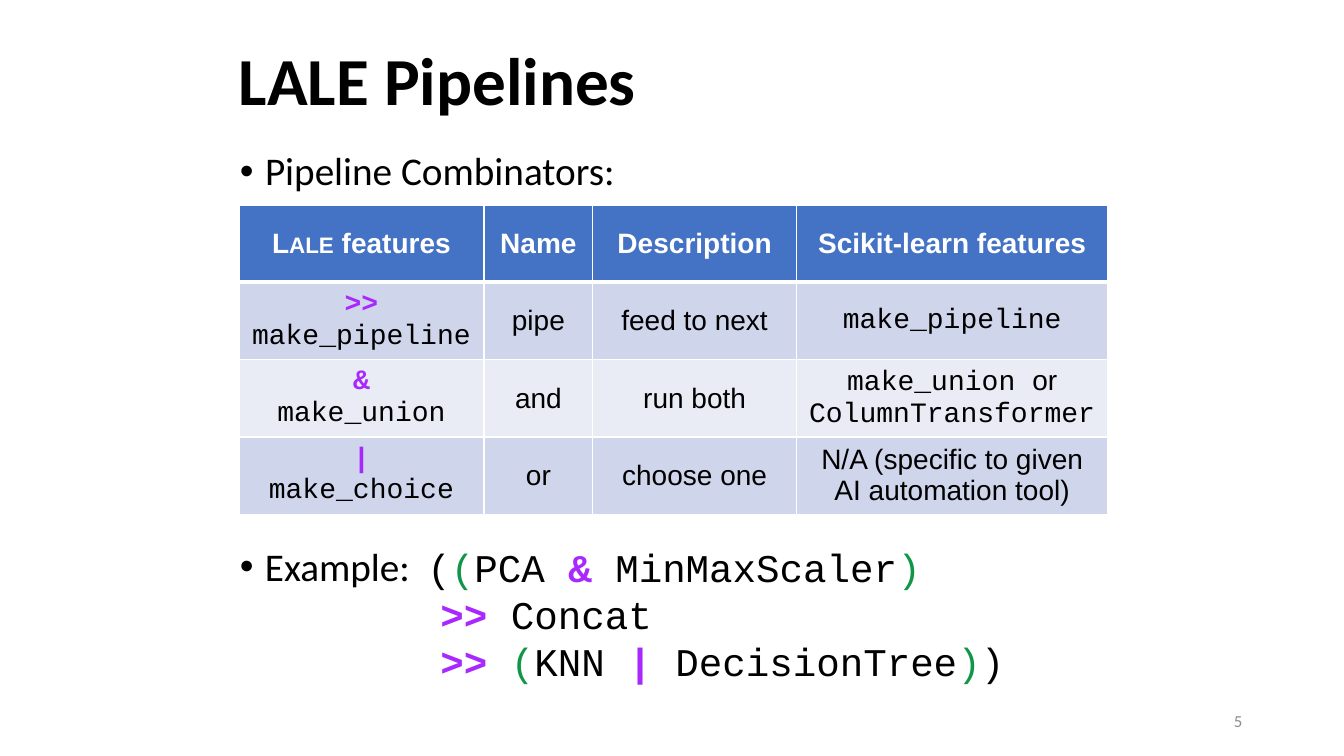
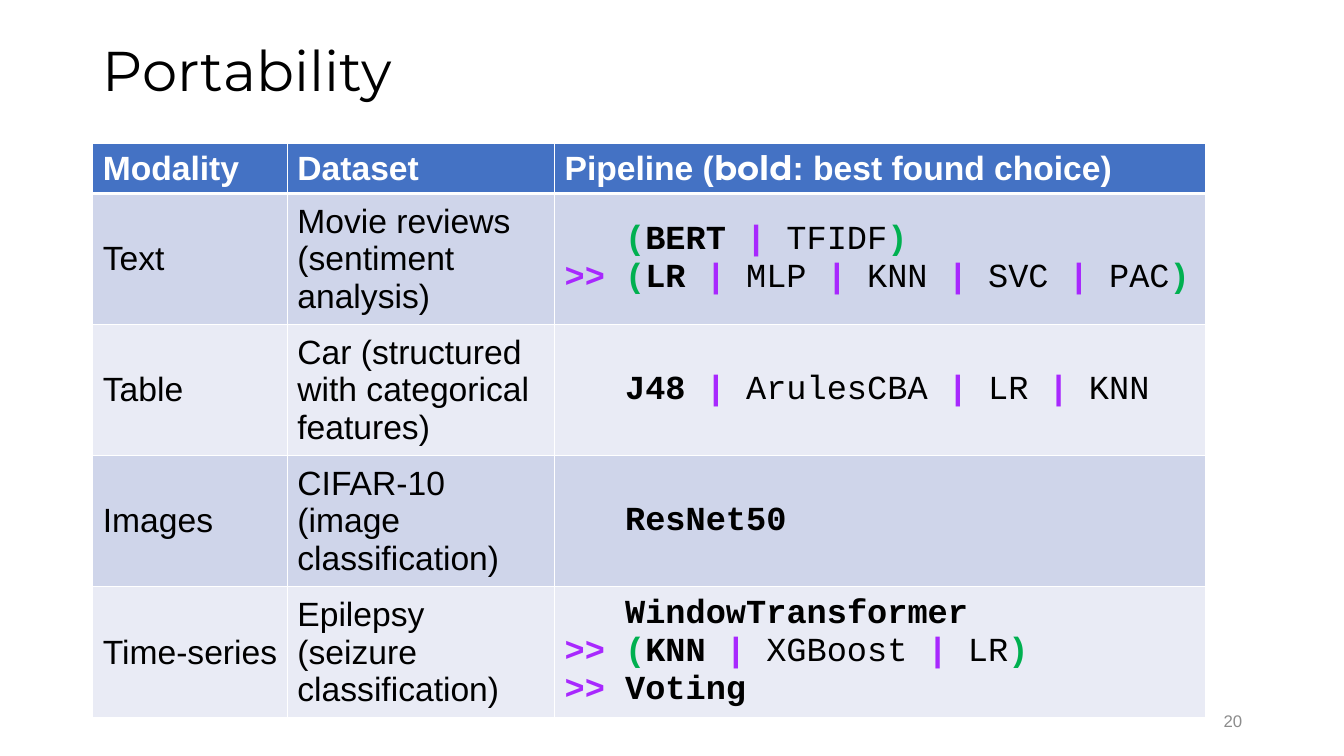
import itertools
import pptx
import pptx.dml.color
import pptx.enum.text
import pptx.oxml
import pptx.oxml.ns
import pptx.util
from pptx.util import Inches, Pt

ALIGN = pptx.enum.text.PP_ALIGN
ANCHOR = pptx.enum.text.MSO_ANCHOR


class Theme:
    # Colours
    black, white, grey = "000000", "FFFFFF", "8C8C8C"
    header, bands = "4472C4", ("CFD5EA", "E9EBF5")
    operator, example_paren, table_paren = "A828FE", "119549", "00B050"
    # Fonts
    sans, body, mono, display = "Arial", "Calibri", "Courier New", "Montserrat"
    # Type sizes and line spacing
    strong_title, light_title = 48, 40
    body_size, small_table, large_table, number_size = 28, 20, 24, 12
    tight, code_pitch = 0.9, Pt(33.6)
    # Indents in inches, border widths in points
    bullet_indent, example_indent, cell_indent = 0.25, 0.13, 0.6
    thin, thick = 1, 3


# Content. In a string, backticks hold code, *stars* a bold name,
# [ ] coloured parentheses, and a leading tab indents the line.
# A list of (text, style) pairs gives the runs of one line directly.
COMBINATORS = [
    [[("Lale", {"small": True}), (" features", {})], "Name", "Description", "Scikit-learn features"],
    ["`>>`\n`make_pipeline`", "pipe", "feed to next", "`make_pipeline`"],
    ["`&`\n`make_union`", "and", "run both", "`make_union `or\n`ColumnTransformer`"],
    ["`|`\n`make_choice`", "or", "choose one", "N/A (specific to given AI automation tool)"],
]
EXAMPLE = "`([PCA & MinMaxScaler]`\n\t`>> Concat`\n\t`>> [KNN | DecisionTree])`"
PORTABILITY = [
    ["Modality", "Dataset",
     [("Pipeline (", {}), ("bold", {"font": Theme.display}), (": best found choice)", {})]],
    ["Text", "Movie reviews\n(sentiment analysis)",
     "\t`[*BERT* | TFIDF]`\n`>> [*LR* | MLP | KNN | SVC | PAC]`"],
    ["Table", "Car (structured with categorical features)",
     "\t`*J48* | ArulesCBA | LR | KNN`"],
    ["Images", "CIFAR-10\n(image classification)", "\t`*ResNet50*`"],
    ["Time-series", "Epilepsy\n(seizure classification)",
     "\t`*WindowTransformer*`\n`>> [*KNN* | XGBoost | LR]`\n`>> *Voting*`"],
]

# Slides: boxes are left, top, width, height in inches.
NUMBER_BOX = (9.42, 6.95, 3, 0.4)
SLIDES = [
    dict(title="LALE Pipelines", title_box=(2.27, 0.11, 8.62, 1.45),
         title_style=dict(font=Theme.body, size=Theme.strong_title, bold=True),
         number="5", number_font=Theme.body,
         bullets=[("Pipeline Combinators:", (2.28, 1.46, 8.62, 0.53)),
                  ("Example:", (2.28, 5.38, 2, 0.53))],
         examples=[(EXAMPLE, (4.14, 5.34, 7.53, 1.51))],
         table=dict(data=COMBINATORS, origin=(2.37, 2.04), cols=(2.43, 1.08, 2.02, 3.09),
                    header_height=0.76, row_height=0.75,
                    size=Theme.small_table, align=ALIGN.CENTER)),
    dict(title="Portability", title_box=(0.92, 0, 9.31, 1.45),
         title_style=dict(font=Theme.display, size=Theme.light_title),
         number="20", number_font=Theme.sans,
         bullets=[], examples=[],
         table=dict(data=PORTABILITY, origin=(0.92, 1.42), cols=(1.93, 2.65, 6.46),
                    header_height=0.5, row_height=1.2,
                    size=Theme.large_table, align=ALIGN.LEFT)),
]


def rgb(color):
    return pptx.dml.color.RGBColor.from_string(color)


def element(tag, attributes="", children=""):
    """Make one drawing element from its tag, attributes and inner XML."""
    ns = pptx.oxml.ns.nsdecls("a")
    return pptx.oxml.parse_xml(f"<a:{tag} {ns} {attributes}>{children}</a:{tag}>")


# Markup to runs
def code_kind(ch):
    if ch in ">&|":
        return "operator"
    return "paren" if ch in "[]" else "name"


def code_runs(code, paren_style):
    """Split code into runs of operators, coloured parentheses and names."""
    runs = []
    for i, part in enumerate(code.split("*")):
        styles = {
            "operator": dict(color=Theme.operator, bold=True),
            "paren": paren_style,
            "name": dict(bold=i % 2 == 1),
        }
        for kind, chars in itertools.groupby(part, code_kind):
            text = "".join(chars).replace("[", "(").replace("]", ")")
            runs.append((text, {"font": Theme.mono, **styles[kind]}))
    return runs


def line_runs(line, paren_style):
    """Split a line at its backticks: every second part is code."""
    if isinstance(line, list):
        return line
    runs = []
    for i, part in enumerate(line.split("`")):
        if i % 2:
            runs += code_runs(part, paren_style)
        elif part:
            runs.append((part, {}))
    return runs


# Text
def add_run(p, text, size, font=Theme.sans, color=Theme.black, bold=False, small=False):
    r = p.add_run()
    r.text = text
    r.font.name, r.font.size, r.font.bold = font, Pt(size), bold
    r.font.color.rgb = rgb(color)
    if small:
        r.font._element.set("cap", "small")


def write(tf, content, base, paren_style=None, align=ALIGN.LEFT, indent=0, spacing=None):
    """Fill a text frame, one paragraph per line; run styles override base."""
    lines = content.split("\n") if isinstance(content, str) else [content]
    for i, line in enumerate(lines):
        p = tf.add_paragraph() if i else tf.paragraphs[0]
        p.alignment, p.line_spacing = align, spacing
        if line[0] == "\t":
            p._p.get_or_add_pPr().set("marL", str(Inches(indent)))
            line = line[1:]
        for text, style in line_runs(line, paren_style):
            add_run(p, text, **{**base, **style})


def add_text(slide, box, content, base, anchor=ANCHOR.TOP, **layout):
    tf = slide.shapes.add_textbox(*map(Inches, box)).text_frame
    tf.word_wrap, tf.vertical_anchor = True, anchor
    write(tf, content, base, **layout)
    return tf


def add_bullet(slide, box, text):
    base = dict(font=Theme.body, size=Theme.body_size)
    tf = add_text(slide, box, text, base, spacing=Theme.tight)
    pPr = tf.paragraphs[0]._p.get_or_add_pPr()
    pPr.set("marL", str(Inches(Theme.bullet_indent)))
    pPr.set("indent", str(-Inches(Theme.bullet_indent)))
    pPr.append(element("buFont", f'typeface="{Theme.sans}"'))
    pPr.append(element("buChar", 'char="•"'))


# Table
def set_borders(cell, row):
    """Draw thin white borders, with a thick one between header and body."""
    thick_side = {0: "B", 1: "T"}.get(row)
    line_fill = f'<a:solidFill><a:srgbClr val="{Theme.white}"/></a:solidFill>'
    for side in "LRTB":
        width = Pt(Theme.thick if side == thick_side else Theme.thin)
        cell._tc.get_or_add_tcPr().append(element(f"ln{side}", f'w="{width}"', line_fill))


def add_table(slide, data, origin, cols, header_height, row_height, size, align):
    heights = [header_height] + [row_height] * (len(data) - 1)
    box = (*origin, sum(cols), sum(heights))
    table = slide.shapes.add_table(len(data), len(cols), *map(Inches, box)).table
    for col, width in zip(table.columns, cols):
        col.width = Inches(width)
    paren_style = dict(color=Theme.table_paren, bold=True)
    for i, (contents, height) in enumerate(zip(data, heights)):
        table.rows[i].height = Inches(height)
        if i == 0:
            fill, base = Theme.header, dict(size=size, color=Theme.white, bold=True)
        else:
            fill, base = Theme.bands[(i - 1) % 2], dict(size=size)
        for j, content in enumerate(contents):
            cell = table.cell(i, j)
            set_borders(cell, i)
            cell.fill.solid()
            cell.fill.fore_color.rgb = rgb(fill)
            cell.vertical_anchor = ANCHOR.MIDDLE
            write(cell.text_frame, content, base, paren_style, align, Theme.cell_indent)


def add_slide(prs, page):
    slide = prs.slides.add_slide(prs.slide_layouts[6])
    # Title and page number
    add_text(slide, page["title_box"], page["title"], page["title_style"],
             ANCHOR.MIDDLE, spacing=Theme.tight)
    number_style = dict(font=page["number_font"], size=Theme.number_size, color=Theme.grey)
    add_text(slide, NUMBER_BOX, page["number"], number_style, ANCHOR.MIDDLE, align=ALIGN.RIGHT)
    # Bullets, table and code examples
    for text, box in page["bullets"]:
        add_bullet(slide, box, text)
    add_table(slide, **page["table"])
    for code, box in page["examples"]:
        add_text(slide, box, code, dict(size=Theme.body_size),
                 paren_style=dict(color=Theme.example_paren),
                 indent=Theme.example_indent, spacing=Theme.code_pitch)


def main():
    prs = pptx.Presentation()
    prs.slide_width, prs.slide_height = Inches(13.33), Inches(7.5)
    for page in SLIDES:
        add_slide(prs, page)
    prs.save("out.pptx")


if __name__ == "__main__":
    main()
